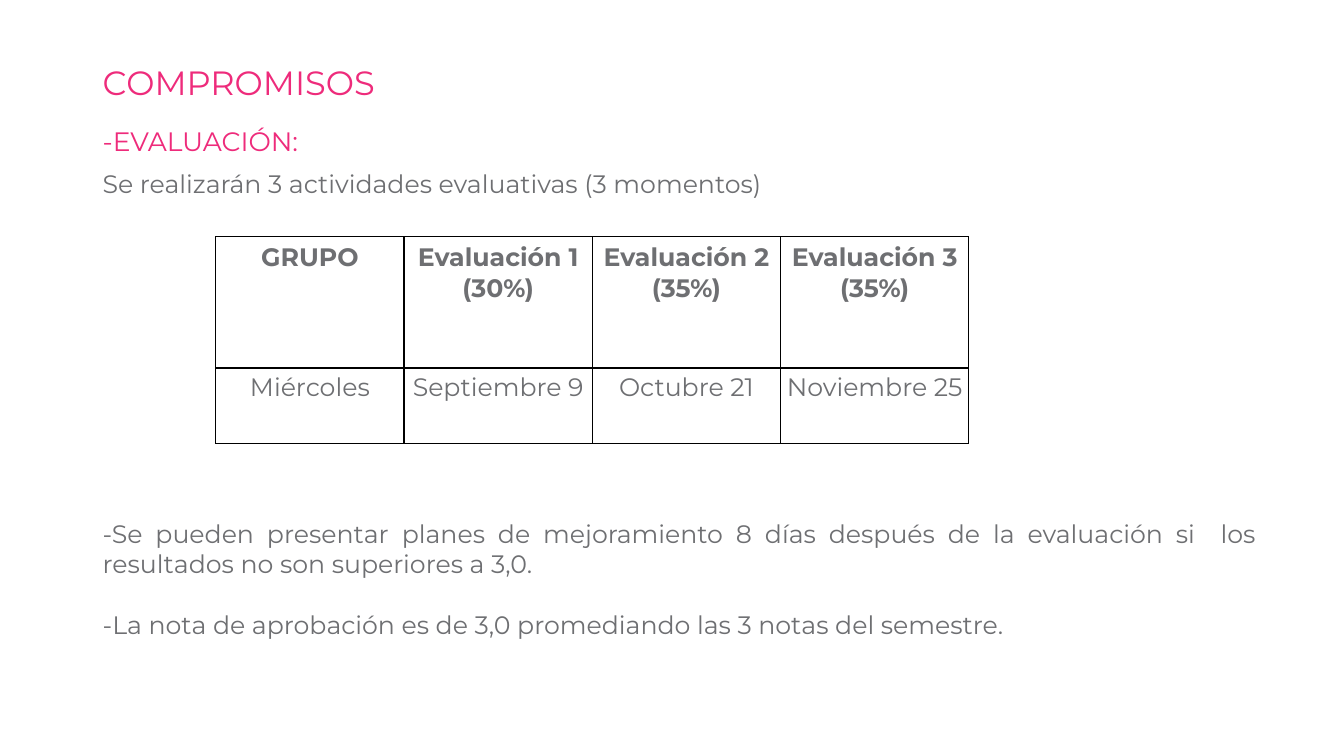
from lxml import etree
from pptx import Presentation
from pptx.dml.color import RGBColor
from pptx.enum import text
from pptx.oxml import ns
from pptx.util import Inches, Pt

COLORS = {"pink": "EE2B7B", "gray": "6E6F72", "border": "000000"}
FONT = "Montserrat"
JUSTIFY, CENTER = text.PP_ALIGN.JUSTIFY, text.PP_ALIGN.CENTER

HEADERS = ["GRUPO", "Evaluación 1 (30%)", "Evaluación 2\n(35%)", "Evaluación 3\n(35%)"]
DATES = ["Miércoles", "Septiembre 9", "Octubre 21", "Noviembre 25"]


def style(paragraph, size=18, color="gray", bold=False, align=None, before=0, spacing=1.0):
    paragraph.font.name = FONT
    paragraph.font.size = Pt(size)
    paragraph.font.bold = bold
    paragraph.font.color.rgb = RGBColor.from_string(COLORS[color])
    paragraph.alignment = align
    paragraph.space_before = Pt(before)
    paragraph.line_spacing = spacing


def add_text(slide, box, lines):
    """Place a text box; lines holds pairs of wording and paragraph style."""
    frame = slide.shapes.add_textbox(*map(Inches, box)).text_frame
    frame.word_wrap = True
    frame.text = "\n".join(wording for wording, _ in lines)
    for paragraph, (_, options) in zip(frame.paragraphs, lines):
        style(paragraph, **options)


def set_borders(cell):
    properties = cell._tc.get_or_add_tcPr()
    for position, side in enumerate(("lnL", "lnR", "lnT", "lnB")):
        line = etree.Element(ns.qn(f"a:{side}"), w=str(Pt(1)))
        fill = etree.SubElement(line, ns.qn("a:solidFill"))
        etree.SubElement(fill, ns.qn("a:srgbClr"), val=COLORS["border"])
        properties.insert(position, line)


def add_schedule(slide, box):
    left, top, width, height = map(Inches, box)
    rows = [HEADERS, DATES]
    table = slide.shapes.add_table(len(rows), len(HEADERS), left, top, width, height).table
    table.first_row = table.horz_banding = False
    table.rows[0].height = Inches(1.3)
    table.rows[1].height = height - Inches(1.3)
    for row, wordings in enumerate(rows):
        for column, wording in enumerate(wordings):
            cell = table.cell(row, column)
            cell.text = wording
            cell.fill.background()
            set_borders(cell)
            if row > 0:
                cell.margin_left = cell.margin_right = cell.margin_bottom = 0
                cell.margin_top = Inches(0.04)
            for paragraph in cell.text_frame.paragraphs:
                style(paragraph, bold=row == 0, align=CENTER, before=2.5 * row)


def add_commitments(slide, box):
    left, top, width, height = box
    # Title
    add_text(slide, (left, top, 11.5, 0.55),
             [("COMPROMISOS", dict(size=24, color="pink", spacing=0.9))])
    # Evaluation heading
    body = dict(align=JUSTIFY, before=10, spacing=0.9)
    add_text(slide, (left, top + 0.62, width, 1.12), [
        ("-EVALUACIÓN:", dict(body, size=19, color="pink")),
        ("Se realizarán 3 actividades evaluativas (3 momentos)", body),
    ])
    # Evaluation dates
    add_schedule(slide, (left + 1.22, top + 1.74, 7.47, 2.05))
    # Grading rules
    add_text(slide, (left, top + 4.48, 11.64, height - 4.48), [
        ("-Se pueden presentar planes de mejoramiento 8 días después de la evaluación "
         "si  los resultados no son superiores a 3,0.", dict(align=JUSTIFY)),
        ("-La nota de aprobación es de 3,0 promediando las 3 notas del semestre.",
         dict(align=JUSTIFY, before=22)),
    ])


def main():
    presentation = Presentation()
    presentation.slide_width, presentation.slide_height = Inches(13.33), Inches(7.5)
    slide = presentation.slides.add_slide(presentation.slide_layouts[6])
    add_commitments(slide, (0.92, 0.61, 11.77, 5.79))
    presentation.save("out.pptx")


if __name__ == "__main__":
    main()
